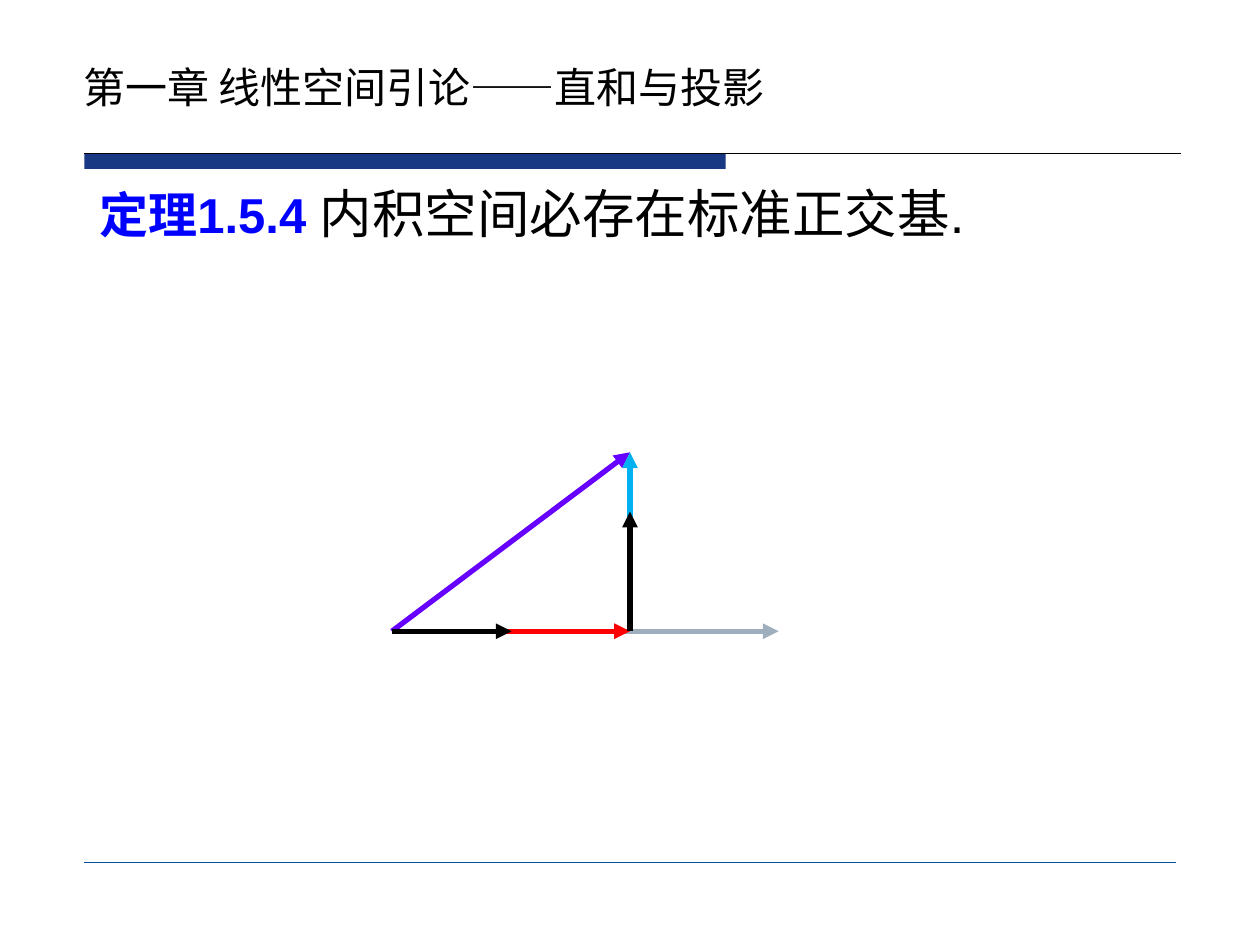
from dataclasses import dataclass

from lxml import etree
from pptx import Presentation
from pptx.dml.color import RGBColor
from pptx.enum.shapes import MSO_CONNECTOR, MSO_SHAPE
from pptx.enum.text import MSO_ANCHOR, MSO_AUTO_SIZE, PP_ALIGN
from pptx.oxml.ns import qn
from pptx.util import Inches, Pt

STRAIGHT = MSO_CONNECTOR.STRAIGHT
RECTANGLE = MSO_SHAPE.RECTANGLE
TOP, BOTTOM = MSO_ANCHOR.TOP, MSO_ANCHOR.BOTTOM
LEFT = PP_ALIGN.LEFT
NO_AUTOFIT = MSO_AUTO_SIZE.NONE


@dataclass(frozen=True)
class Theme:
    band: str = "183883"
    rule: str = "01519A"
    text: str = "000000"
    label: str = "0000FF"
    axis: str = "9FAEBD"
    vector: str = "6600FF"
    normal: str = "00B0F0"
    projection: str = "FF0000"
    unit: str = "000000"
    latin: str = "Arial"
    chinese: str = "Noto Sans CJK SC"
    title_size: int = 24
    label_size: int = 28
    statement_size: int = 30
    arrow_width: int = 3


THEME = Theme()


def add_line(slide, start, end, color, width, arrow=False):
    line = slide.shapes.add_connector(
        STRAIGHT, *(Inches(value) for value in (*start, *end)))
    line.line.color.rgb = RGBColor.from_string(color)
    line.line.width = Pt(width)
    if arrow:
        etree.SubElement(line.line._get_or_add_ln(), qn("a:tailEnd"), type="triangle")
    etree.SubElement(line._element.spPr, qn("a:effectLst"))


def add_band(slide, left, top, width, height):
    band = slide.shapes.add_shape(
        RECTANGLE, *(Inches(value) for value in (left, top, width, height)))
    band.shadow.inherit = False
    band.fill.solid()
    band.fill.fore_color.rgb = RGBColor.from_string(THEME.band)
    band.line.fill.background()


def place(holder, left, top, width, height, anchor):
    box = {"left": left, "top": top, "width": width, "height": height}
    for name, value in box.items():
        setattr(holder, name, Inches(value))
    frame_format = {"word_wrap": True, "auto_size": NO_AUTOFIT, "vertical_anchor": anchor}
    for name, value in frame_format.items():
        setattr(holder.text_frame, name, value)
    paragraph = holder.text_frame.paragraphs[0]
    paragraph.alignment = LEFT
    paragraph.space_before = Pt(0)
    return paragraph


def add_run(paragraph, text, size, color, latin, bold=False):
    run = paragraph.add_run()
    run.text = text
    for name, value in {"size": Pt(size), "bold": bold, "name": latin}.items():
        setattr(run.font, name, value)
    run.font.color.rgb = RGBColor.from_string(color)
    etree.SubElement(run.font._element, qn("a:ea"), typeface=THEME.chinese)


def remove_bullet(paragraph):
    properties = paragraph._p.get_or_add_pPr()
    properties.set("marL", "0")
    properties.set("indent", "0")
    etree.SubElement(properties, qn("a:buNone"))


def add_projection_diagram(slide):
    origin, foot, tip = (3.11, 5.01), (5, 5.01), (5, 3.59)
    arrows = [
        (origin, (6.18, 5.01), THEME.axis),
        (origin, tip, THEME.vector),
        (foot, tip, THEME.normal),
        (origin, foot, THEME.projection),
        (origin, (4.06, 5.01), THEME.unit),
        (foot, (5, 4.06), THEME.unit),
    ]
    for start, end, color in arrows:
        add_line(slide, start, end, color, THEME.arrow_width, arrow=True)


def main():
    presentation = Presentation()
    presentation.slide_width, presentation.slide_height = Inches(10), Inches(7.5)
    slide = presentation.slides.add_slide(presentation.slide_layouts[1])

    # Header band and rules
    add_band(slide, 0.67, 1.22, 5.09, 0.12)
    add_line(slide, (0.67, 1.22), (9.37, 1.22), THEME.text, 0.75)
    add_line(slide, (0.67, 6.84), (9.33, 6.84), THEME.rule, 0.25)

    # Chapter title
    chapter = place(slide.shapes.title, 0.56, 0.2, 8.75, 0.74, BOTTOM)
    add_run(chapter, "第一章 线性空间引论——直和与投影",
            THEME.title_size, THEME.text, THEME.chinese)

    # Theorem
    theorem = place(slide.placeholders[1], 0.69, 1.34, 8.62, 5.4, TOP)
    theorem.line_spacing = 1.1
    remove_bullet(theorem)
    add_run(theorem, "定理1.5.4 ", THEME.label_size, THEME.label, THEME.latin, bold=True)
    add_run(theorem, "内积空间必存在标准正交基.",
            THEME.statement_size, THEME.text, THEME.latin)

    # Orthogonal projection
    add_projection_diagram(slide)

    presentation.save("out.pptx")


if __name__ == "__main__":
    main()
